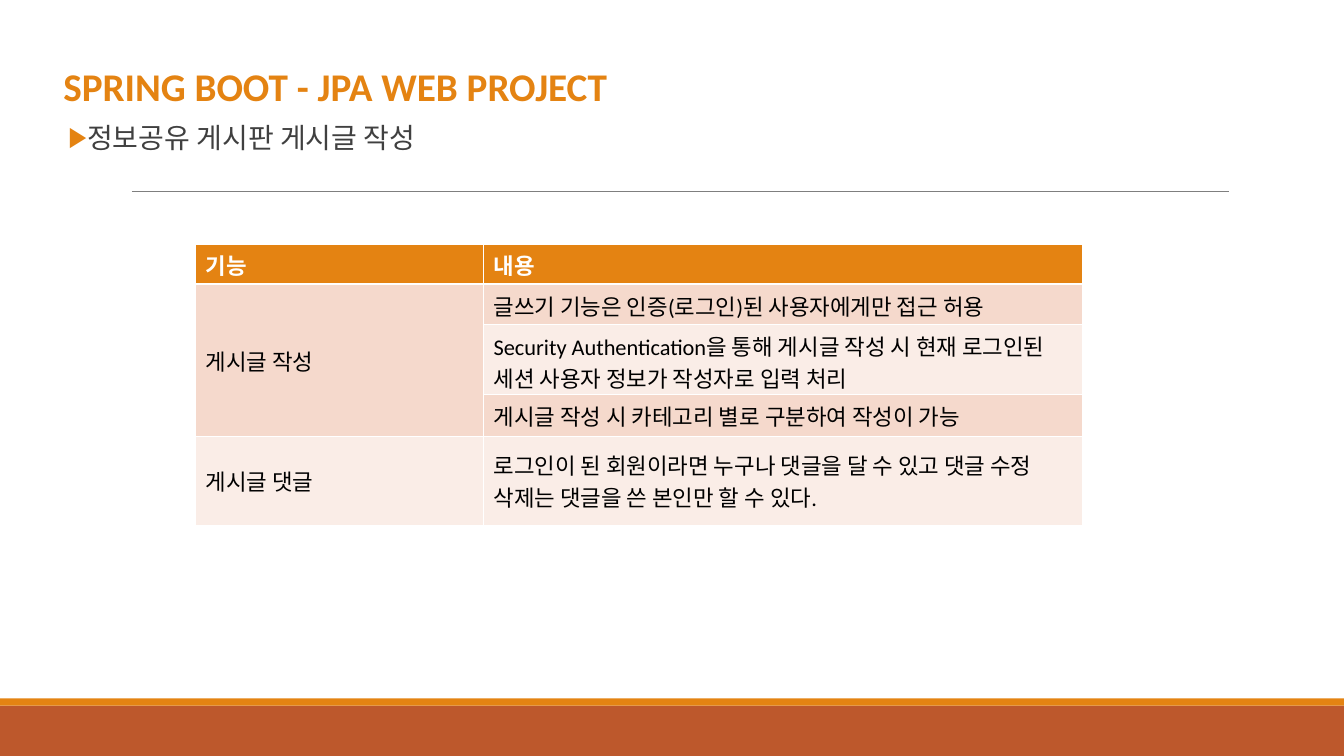
from lxml import etree
from pptx import Presentation, util as u
from pptx.dml.color import RGBColor
from pptx.enum import shapes, text
from pptx.oxml.ns import qn

ORANGE, RUST, WHITE, BLACK = "E48312", "BD582C", "FFFFFF", "000000"
DARK, GRAY, PEACH, PALE = "404040", "7F7F7F", "F5D9CC", "FAEDE7"


def px(n):
    """Turn px, 100 to the inch, into EMU."""
    return u.Emu(n * 9144)


def rgb(code):
    return RGBColor.from_string(code)


def add(root, tag, **attrs):
    return etree.SubElement(root, qn(tag), attrs)


class Deck:
    font = "Calibri"

    def __init__(self, wide, high):
        self.prs = Presentation()
        self.prs.slide_width, self.prs.slide_height = px(wide), px(high)
        self.slide = self.prs.slides.add_slide(self.prs.slide_layouts[6])
        self.items = self.slide.shapes

    def run(self, para, words, size, color, bold=False):
        run = para.add_run()
        run.text = words
        font = run.font
        font.name, font.size, font.bold = self.font, u.Pt(size), bold
        font.color.rgb = rgb(color)

    def bar(self, box, color):
        bar = self.items.add_shape(shapes.MSO_SHAPE.RECTANGLE, *map(px, box))
        bar.shadow.inherit = False
        bar.fill.solid()
        bar.fill.fore_color.rgb = rgb(color)
        bar.line.fill.background()

    def rule(self, ends, color, width):
        line = self.items.add_connector(shapes.MSO_CONNECTOR.STRAIGHT, *map(px, ends))
        line.line.color.rgb = rgb(color)
        line.line.width = u.Pt(width)
        add(line._element.spPr, "a:effectLst")

    def label(self, box, words, size, color, bold=False, inset=10):
        """Add a text box and return its paragraph."""
        frame = self.items.add_textbox(*map(px, box)).text_frame
        frame.word_wrap = True
        frame.margin_left = frame.margin_right = px(inset)
        para = frame.paragraphs[0]
        self.run(para, words, size, color, bold)
        return para

    def bullet(self, para, mark, color, indent):
        props = para._p.get_or_add_pPr()
        props.set("marL", str(px(indent)))
        props.set("indent", str(px(-indent)))
        tint = add(props, "a:buClr")
        add(tint, "a:srgbClr", val=color)
        add(props, "a:buFont", typeface=self.font)
        add(props, "a:buChar", char=mark)

    def edge(self, cell, side, width):
        line = add(cell._tc.get_or_add_tcPr(), "a:ln" + side, w=str(u.Pt(width)))
        fill = add(line, "a:solidFill")
        add(fill, "a:srgbClr", val=WHITE)

    def cell(self, cell, words, fill, color, bold, top, base):
        """Style one cell; top and base are its edge widths in points."""
        for side, width in zip("LRTB", (0.45, 0.45, top, base)):
            self.edge(cell, side, width)
        cell.fill.solid()
        cell.fill.fore_color.rgb = rgb(fill)
        if words:
            self.run(cell.text_frame.paragraphs[0], words, 16, color, bold)

    def table(self, spot, cols, rows, data, fills):
        size = sum(cols), sum(rows)
        table = self.items.add_table(
            len(rows), len(cols), *map(px, spot + size)).table
        table.first_row = table.horz_banding = False
        for col, wide in zip(table.columns, cols):
            col.width = px(wide)
        for i, (row, high) in enumerate(zip(table.rows, rows)):
            row.height = px(high)
            color = BLACK if i else WHITE
            top, base = 1.47 if i == 1 else 0.45, 0.45 if i else 1.47
            for cell, words, fill in zip(row.cells, data[i], fills[i]):
                self.cell(cell, words, fill, color, i == 0, top, base)
        return table


def main():
    deck = Deck(1334, 750)
    deck.bar((0, 700, 1334, 50), RUST)
    deck.bar((0, 693, 1334, 7), ORANGE)
    deck.rule((131, 190, 1220, 190), GRAY, 0.5)
    deck.label((53, 57, 1224, 57), "SPRING BOOT - JPA WEB PROJECT", 28, ORANGE, True)
    topic = deck.label((68, 118, 940, 85), "정보공유 게시판 게시글 작성", 20, DARK, inset=0)
    deck.bullet(topic, "▶", ORANGE, 10)
    topic.line_spacing = 0.9

    data = [
        ("기능", "내용"),
        ("게시글 작성", "글쓰기 기능은 인증(로그인)된 사용자에게만 접근 허용"),
        ("", "Security Authentication을 통해 게시글 작성 시 현재 로그인된 "
             "세션 사용자 정보가 작성자로 입력 처리"),
        ("", "게시글 작성 시 카테고리 별로 구분하여 작성이 가능"),
        ("게시글 댓글", "로그인이 된 회원이라면 누구나 댓글을 달 수 있고 댓글 수정 "
                   "삭제는 댓글을 쓴 본인만 할 수 있다."),
    ]
    fills = [(ORANGE, ORANGE), (PEACH, PEACH), (PEACH, PALE), (PEACH, PEACH), (PALE, PALE)]
    table = deck.table((194, 242), (286, 594), (40, 40, 69, 42, 88), data, fills)
    table.cell(1, 0).merge(table.cell(3, 0))
    for spot in ((1, 0), (4, 0), (4, 1)):
        table.cell(*spot).vertical_anchor = text.MSO_ANCHOR.MIDDLE
    deck.prs.save("out.pptx")


if __name__ == "__main__":
    main()
